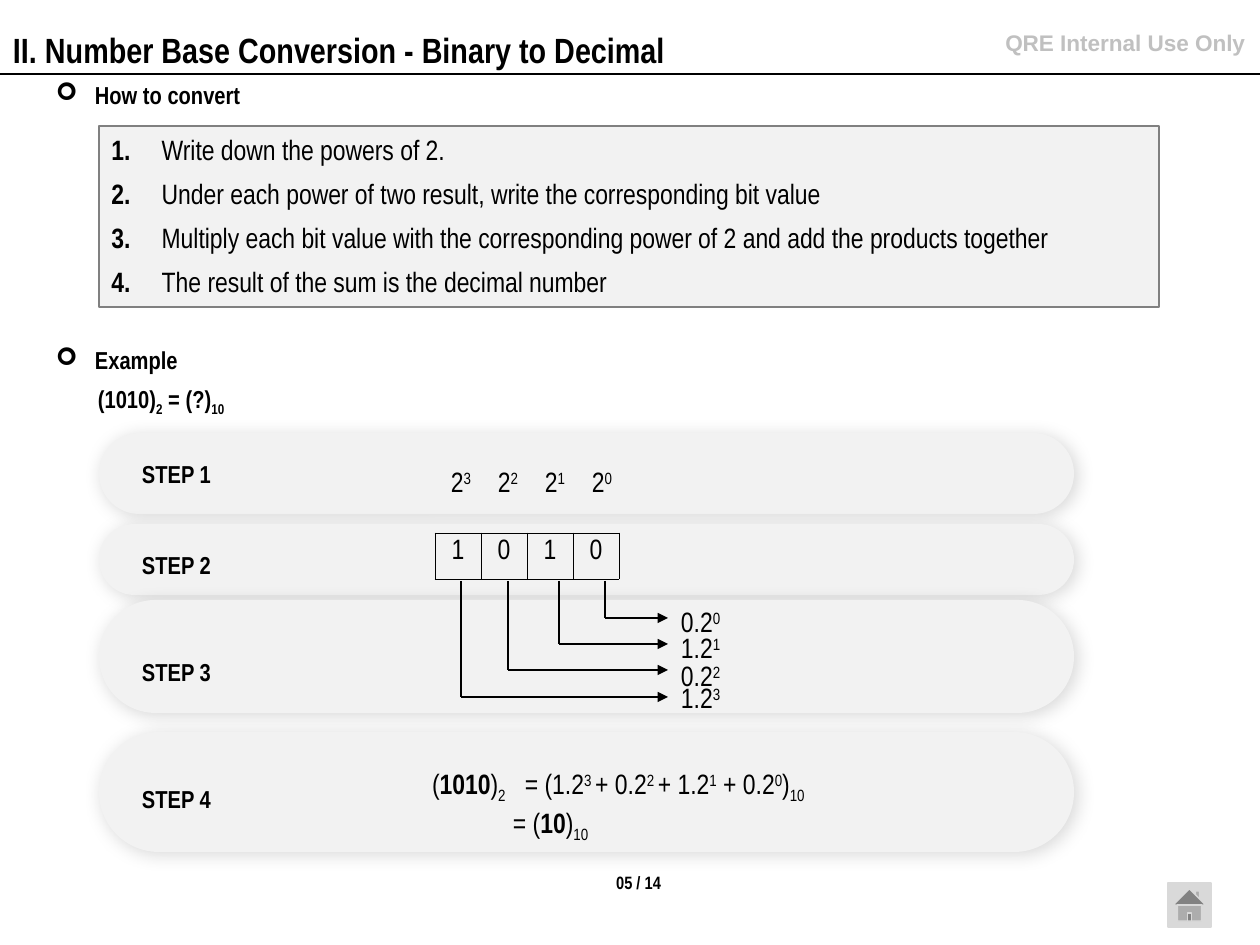
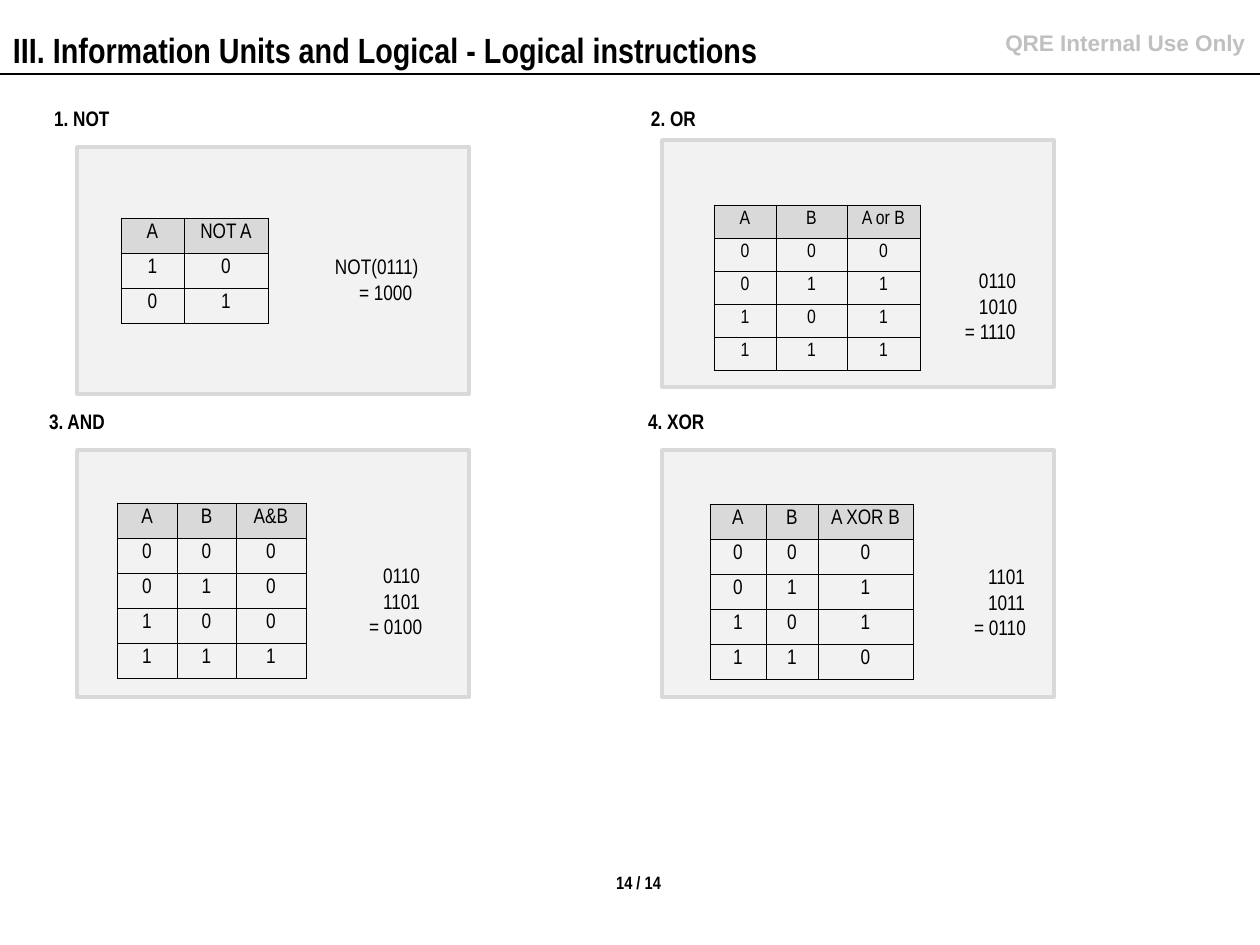
from dataclasses import dataclass
from typing import NamedTuple

from lxml.etree import SubElement
from pptx import Presentation
from pptx.dml.color import RGBColor
from pptx.enum.shapes import MSO_CONNECTOR, MSO_SHAPE
from pptx.enum.text import MSO_ANCHOR, PP_ALIGN
from pptx.oxml.ns import qn
from pptx.util import Emu, Pt

EMU_PER_PX = 914400 / 126
PAGE_WIDTH, PAGE_HEIGHT = 1260, 945
PAGE_COUNT = 14
BLACK, WHITE, PALE, SILVER, GREY, NOTICE = "000000", "FFFFFF", "F2F2F2", "D9D9D9", "808080", "C0C0C0"
SUPERSCRIPT, SUBSCRIPT = 30000, -25000
CELL_INSETS = (9, 5, 9, 5)
DEFAULT_INSETS = (13, 6, 13, 6)


class Box(NamedTuple):
    left: int
    top: int
    width: int
    height: int


class Span(NamedTuple):
    text: str
    baseline: int = 0
    bold: bool | None = None


@dataclass(frozen=True)
class Line:
    spans: tuple[Span, ...]
    margin: int = 0
    bullet: str = ""
    numbered: bool = False
    before: int = 0
    spacing: float = 1.0


@dataclass(frozen=True)
class TextStyle:
    size: float
    bold: bool = False
    align: PP_ALIGN = PP_ALIGN.LEFT
    color: str = BLACK
    font: str = "Arial Narrow"


TITLE = TextStyle(20, bold=True)
CONFIDENTIAL = TextStyle(12.9, True, PP_ALIGN.RIGHT, NOTICE, "Arial")
PAGE_NUMBER = TextStyle(10.2, True, PP_ALIGN.CENTER)
HEADING = TextStyle(14, bold=True)
BODY = TextStyle(16)
CENTERED_BODY = TextStyle(16, align=PP_ALIGN.CENTER)
GATE_TITLE = TextStyle(12, bold=True)
GATE_EXAMPLE = TextStyle(12)


class Step(NamedTuple):
    top: int
    height: int
    label_top: int


class BitProduct(NamedTuple):
    bit: int
    power: int
    stem_x: int
    arrow_y: int
    label_top: int


@dataclass(frozen=True)
class Gate:
    title: str
    title_at: tuple[int, int]
    panel_at: tuple[int, int]
    table_at: tuple[int, int]
    columns: tuple[int, ...]
    row_height: int
    header: tuple[str, ...]
    rows: tuple[str, ...]
    example_at: tuple[int, int]
    example: tuple[str, ...]
    example_margins: tuple[int, ...] = (14, 14, 0)
    table_size: int = 12


STEPS = (Step(433, 81, 453), Step(524, 71, 544), Step(600, 113, 651), Step(732, 120, 778))
BIT_PRODUCTS = (
    BitProduct(0, 0, 605, 618, 599),
    BitProduct(1, 1, 559, 644, 625),
    BitProduct(0, 2, 508, 670, 653),
    BitProduct(1, 3, 461, 697, 675),
)
INSTRUCTIONS = (
    "Write down the powers of 2.",
    "Under each power of two result, write the corresponding bit value",
    "Multiply each bit value with the corresponding power of 2 and add the products together",
    "The result of the sum is the decimal number",
)
GATES = (
    Gate("1. NOT", (41, 100), (77, 147), (121, 218), (63, 84), 34, ("A", "NOT A"), ("10", "01"),
         (322, 248), ("NOT(0111)", "= 1000"), (0, 24)),
    Gate("2. OR", (638, 100), (662, 140), (714, 205), (62, 71, 73), 32, ("A", "B", "A or B"),
         ("000", "011", "101", "111"), (952, 262), ("0110", "1010", "= 1110"), table_size=11),
    Gate("3. AND", (36, 403), (77, 450), (117, 503), (60, 59, 70), 34, ("A", "B", "A&B"),
         ("000", "010", "100", "111"), (356, 557), ("0110", "1101", "= 0100")),
    Gate("4. XOR", (635, 403), (662, 450), (710, 504), (56, 52, 95), 34, ("A", "B", "A XOR B"),
         ("000", "011", "101", "110"), (961, 558), ("1101", "1011", "= 0110")),
)


def px(length: float) -> Emu:
    return Emu(round(length * EMU_PER_PX))


def rgb(value: str) -> RGBColor:
    return RGBColor.from_string(value)


def place(box: Box) -> tuple[Emu, ...]:
    return tuple(px(length) for length in box)


def plain(text: str) -> Line:
    return Line((Span(text),))


def power(base: str, exponent: str) -> tuple[Span, Span]:
    return Span(base), Span(exponent, SUPERSCRIPT)


def format_paragraph(paragraph, line: Line, style: TextStyle) -> None:
    paragraph.alignment = style.align
    paragraph.line_spacing = line.spacing
    paragraph.space_before = Pt(line.before)
    properties = paragraph._p.get_or_add_pPr()
    hanging = bool(line.bullet or line.numbered)
    properties.set("marL", str(px(line.margin)))
    properties.set("indent", str(px(-line.margin if hanging else 0)))
    if line.numbered:
        SubElement(properties, qn("a:buFont"), typeface="+mj-lt")
        SubElement(properties, qn("a:buAutoNum"), type="arabicPeriod")
    elif line.bullet:
        SubElement(properties, qn("a:buFont"), typeface="Wingdings")
        SubElement(properties, qn("a:buChar"), char=line.bullet)
    font = paragraph.font
    font.name, font.size, font.bold = style.font, Pt(style.size), style.bold
    font.color.rgb = rgb(style.color)


def write(frame, lines: tuple[Line, ...], style: TextStyle) -> None:
    for index, line in enumerate(lines):
        paragraph = frame.add_paragraph() if index else frame.paragraphs[0]
        format_paragraph(paragraph, line, style)
        for span in line.spans:
            run = paragraph.add_run()
            run.text = span.text
            if span.bold is not None:
                run.font.bold = span.bold
            if span.baseline:
                run.font._element.set("baseline", str(span.baseline))


def set_insets(target, insets: tuple[int, int, int, int]) -> None:
    """Set the inner margins of a text frame or a table cell."""
    target.margin_left, target.margin_top, target.margin_right, target.margin_bottom = map(px, insets)


def add_text(page, box: Box, lines: tuple[Line, ...], style: TextStyle,
             anchor: MSO_ANCHOR = MSO_ANCHOR.TOP, insets=DEFAULT_INSETS, wrap: bool = True):
    shape = page.shapes.add_textbox(*place(box))
    frame = shape.text_frame
    frame.word_wrap, frame.vertical_anchor = wrap, anchor
    set_insets(frame, insets)
    write(frame, lines, style)
    return shape


def add_panel(page, kind: MSO_SHAPE, box: Box, fill: str = PALE, line: str = "", weight: float = 0.75):
    shape = page.shapes.add_shape(kind, *place(box))
    shape.shadow.inherit = False
    shape.fill.solid()
    shape.fill.fore_color.rgb = rgb(fill)
    if line:
        shape.line.color.rgb = rgb(line)
        shape.line.width = Pt(weight)
    else:
        shape.line.fill.background()
    return shape


def add_soft_shadow(shape) -> None:
    effects = shape._element.spPr.find(qn("a:effectLst"))
    shadow = SubElement(effects, qn("a:outerShdw"), blurRad=str(Pt(10)), dist=str(Pt(2)), dir="2700000")
    color = SubElement(shadow, qn("a:srgbClr"), val=BLACK)
    SubElement(color, qn("a:alpha"), val="15000")


def add_line(page, start: tuple[int, int], end: tuple[int, int], arrow: bool = False) -> None:
    connector = page.shapes.add_connector(MSO_CONNECTOR.STRAIGHT, *map(px, start + end))
    connector.line.color.rgb = rgb(BLACK)
    connector.line.width = Pt(0.75)
    if arrow:
        SubElement(connector.line._get_or_add_ln(), qn("a:tailEnd"), type="triangle")
    SubElement(connector._element.spPr, qn("a:effectLst"))


def add_cell_borders(cell) -> None:
    properties = cell._tc.get_or_add_tcPr()
    for side in ("lnL", "lnR", "lnT", "lnB"):
        border = SubElement(properties, qn(f"a:{side}"), w=str(Pt(0.5)))
        fill = SubElement(border, qn("a:solidFill"))
        SubElement(fill, qn("a:srgbClr"), val=BLACK)


def add_grid(page, at: tuple[int, int], columns: tuple[int, ...], row_height: int,
             rows: tuple, style: TextStyle, first_fill: str, insets=DEFAULT_INSETS) -> None:
    """Draw a bordered table whose first row alone is filled."""
    box = Box(*at, sum(columns), row_height * len(rows))
    table = page.shapes.add_table(len(rows), len(columns), *place(box)).table
    table.first_row = table.horz_banding = False
    for column, width in zip(table.columns, columns):
        column.width = px(width)
    for row_index, row in enumerate(rows):
        table.rows[row_index].height = px(row_height)
        for column_index, text in enumerate(row):
            cell = table.cell(row_index, column_index)
            set_insets(cell, insets)
            add_cell_borders(cell)
            if row_index == 0:
                cell.fill.solid()
                cell.fill.fore_color.rgb = rgb(first_fill)
            else:
                cell.fill.background()
            write(cell.text_frame, (plain(text),), style)


def add_page(deck, title: str, number: int):
    """Add a blank page with the shared header and page number."""
    page = deck.slides.add_slide(deck.slide_layouts[6])
    add_line(page, (0, 74), (PAGE_WIDTH, 74))
    add_text(page, Box(910, 23, 346, 40), (plain("QRE Internal Use Only"),), CONFIDENTIAL, insets=(11, 6, 11, 6))
    add_text(page, Box(0, 22, 1055, 55), (plain(title),), TITLE)
    footer = add_text(page, Box(616, 872, 45, 21), (plain(f"{number:02} / {PAGE_COUNT}"),),
                      PAGE_NUMBER, insets=(0, 0, 0, 0), wrap=False)
    footer.fill.solid()
    footer.fill.fore_color.rgb = rgb(WHITE)
    return page


def add_conversion_page(deck) -> None:
    page = add_page(deck, "II. Number Base Conversion - Binary to Decimal", 5)
    for top, text in ((67, "How to convert"), (332, "Example")):
        heading = Line((Span(text),), margin=39, bullet="➢", spacing=0.9)
        add_text(page, Box(43, top, 1086, 59), (heading,), HEADING, MSO_ANCHOR.MIDDLE)
    panel = add_panel(page, MSO_SHAPE.RECTANGLE, Box(99, 126, 1060, 181), line=GREY)
    panel.text_frame.vertical_anchor = MSO_ANCHOR.TOP
    panel.text_frame.word_wrap = True
    write(panel.text_frame, tuple(
        Line((Span(" ", bold=True), Span(text, bold=False)), margin=44, numbered=True, before=6)
        for text in INSTRUCTIONS), BODY)
    question = (Span("(1010)"), Span("2", SUBSCRIPT), Span(" = (?)"), Span("10", SUBSCRIPT))
    add_text(page, Box(85, 377, 1086, 45), (Line(question, spacing=0.9),), HEADING, MSO_ANCHOR.MIDDLE)

    for number, step in enumerate(STEPS, 1):
        band = add_panel(page, MSO_SHAPE.ROUNDED_RECTANGLE, Box(99, step.top, 975, step.height))
        band.adjustments[0] = 0.5
        add_soft_shadow(band)
        add_text(page, Box(129, step.label_top, 140, 43), (plain(f"STEP {number}"),), HEADING)

    for column, exponent in enumerate("3210"):
        add_text(page, Box(431 + 47 * column, 459, 60, 47), (Line(power("2", exponent)),), CENTERED_BODY)
    add_grid(page, (435, 533), (46,) * 4, 46, ("1010",), CENTERED_BODY, PALE)
    for product in BIT_PRODUCTS:
        corner = (product.stem_x, product.arrow_y)
        add_line(page, (product.stem_x, 581), corner)
        add_line(page, corner, (668, product.arrow_y), arrow=True)
        label = Line(power(f"{product.bit}.2", str(product.power)))
        add_text(page, Box(668, product.label_top, 101, 47), (label,), BODY)

    ten = Span("10", SUBSCRIPT)
    binary = Line((Span("("), Span("1010", bold=True), Span(")"), Span("2", SUBSCRIPT)))
    expansion = Line((
        Span("= (1.2"), Span("3 ", SUPERSCRIPT), Span("+ 0.2"), Span("2 ", SUPERSCRIPT), Span("+ 1.2"),
        Span("1", SUPERSCRIPT), Span(" + 0.2"), Span("0", SUPERSCRIPT), Span(")"), ten), margin=12)
    result = Line((Span("= ("), Span("10", bold=True), Span(")"), ten))
    add_text(page, Box(419, 761, 110, 50), (binary,), BODY)
    add_text(page, Box(500, 761, 352, 103), (expansion, result), BODY)
    add_panel(page, MSO_SHAPE.ACTION_BUTTON_HOME, Box(1168, 883, 43, 44), SILVER, SILVER)


def add_logic_page(deck) -> None:
    page = add_page(deck, "III. Information Units and Logical - Logical instructions", 14)
    for gate in GATES:
        add_panel(page, MSO_SHAPE.RECTANGLE, Box(*gate.panel_at, 392, 247), line=SILVER, weight=2)
        add_text(page, Box(*gate.title_at, 384, 38), (plain(gate.title),), GATE_TITLE)
        add_grid(page, gate.table_at, gate.columns, gate.row_height, (gate.header, *gate.rows),
                 TextStyle(gate.table_size, align=PP_ALIGN.CENTER), SILVER, CELL_INSETS)
        example = tuple(Line((Span(text),), margin=margin)
                        for text, margin in zip(gate.example, gate.example_margins))
        add_text(page, Box(*gate.example_at, 120, 90), example, GATE_EXAMPLE)


def main() -> None:
    deck = Presentation()
    deck.slide_width, deck.slide_height = px(PAGE_WIDTH), px(PAGE_HEIGHT)
    add_conversion_page(deck)
    add_logic_page(deck)
    deck.save("out.pptx")


if __name__ == "__main__":
    main()
